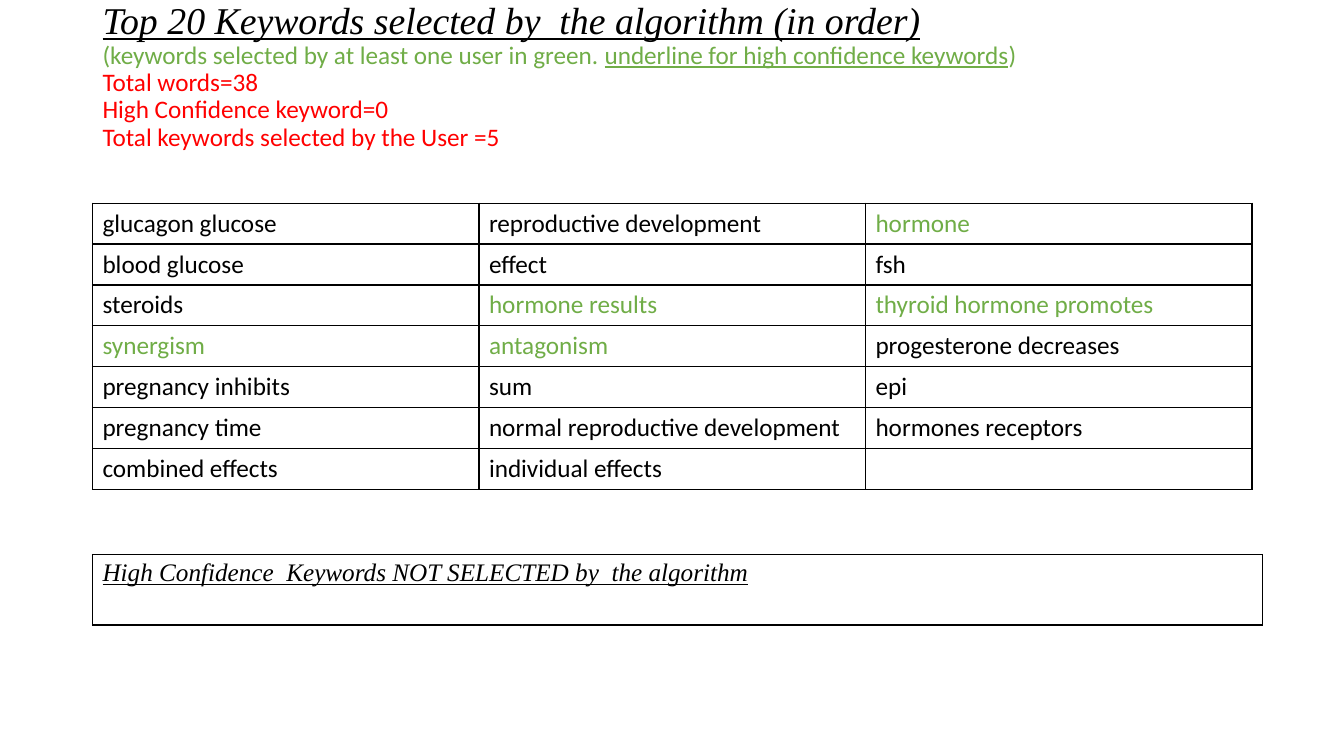
from copy import deepcopy
from dataclasses import dataclass

from lxml.etree import SubElement
from pptx import Presentation
from pptx.dml.color import RGBColor
from pptx.enum.text import MSO_ANCHOR, MSO_AUTO_SIZE, PP_ALIGN
from pptx.oxml.ns import qn
from pptx.util import Cm, Pt

BLACK = RGBColor(0x00, 0x00, 0x00)
GREEN = RGBColor(0x70, 0xAD, 0x47)
RED = RGBColor(0xFF, 0x00, 0x00)
SANS = "Calibri"
SERIF = "Times New Roman"
LEFT = Cm(2.33)


@dataclass
class Phrase:
    text: str
    color: RGBColor = BLACK
    font: str = SANS
    size: int = 18
    italic: bool = False
    underline: bool = False


@dataclass
class Grid:
    top: float
    column_width: float
    row_height: float
    rows: list[list[Phrase]]


def add_phrase(paragraph, phrase: Phrase):
    run = paragraph.add_run()
    run.text = phrase.text
    run.font.name = phrase.font
    run.font.size = Pt(phrase.size)
    run.font.bold = False
    run.font.italic = phrase.italic
    run.font.underline = phrase.underline
    run.font.color.rgb = phrase.color
    return run


def write_title(title, lines: list[list[Phrase]]) -> None:
    title.left, title.top, title.width, title.height = LEFT, Cm(1.01), Cm(29.21), Cm(3.68)
    frame = title.text_frame
    frame.word_wrap = True
    frame.auto_size = MSO_AUTO_SIZE.NONE
    frame.vertical_anchor = MSO_ANCHOR.MIDDLE
    frame.margin_bottom = Cm(1.96)
    paragraph = frame.paragraphs[0]
    paragraph.alignment = PP_ALIGN.LEFT
    paragraph.line_spacing = 0.9
    for number, line in enumerate(lines):
        if number:
            # A break takes the formatting of the line it ends
            paragraph.add_line_break()
            paragraph._p[-1].append(deepcopy(run._r.rPr))
        for phrase in line:
            run = add_phrase(paragraph, phrase)


def set_borders(cell) -> None:
    properties = cell._tc.get_or_add_tcPr()
    for side in ("a:lnL", "a:lnR", "a:lnT", "a:lnB"):
        line = SubElement(properties, qn(side), w=str(Pt(1)))
        fill = SubElement(line, qn("a:solidFill"))
        SubElement(fill, qn("a:srgbClr"), val=str(BLACK))


def add_grid(slide, grid: Grid) -> None:
    row_count, column_count = len(grid.rows), len(grid.rows[0])
    table = slide.shapes.add_table(
        row_count, column_count, LEFT, Cm(grid.top),
        Cm(grid.column_width * column_count), Cm(grid.row_height * row_count),
    ).table
    table.first_row = False
    table.horz_banding = False
    for column in table.columns:
        column.width = Cm(grid.column_width)
    for row, phrases in zip(table.rows, grid.rows):
        row.height = Cm(grid.row_height)
        for cell, phrase in zip(row.cells, phrases):
            set_borders(cell)
            cell.fill.background()
            if phrase.text:
                add_phrase(cell.text_frame.paragraphs[0], phrase)


TITLE_LINES = [
    [Phrase("Top 20 Keywords selected by  the algorithm (in order)",
            font=SERIF, size=27, italic=True, underline=True)],
    [Phrase("(keywords selected by at least one user in green. ", GREEN),
     Phrase("underline for high confidence keywords", GREEN, underline=True),
     Phrase(")", GREEN)],
    [Phrase("Total words=38", RED)],
    [Phrase("High Confidence keyword=0", RED)],
    [Phrase("Total keywords selected by the User =5", RED)],
]

KEYWORDS = [
    ["glucagon glucose", "reproductive development", "hormone"],
    ["blood glucose", "effect", "fsh"],
    ["steroids", "hormone results", "thyroid hormone promotes"],
    ["synergism", "antagonism", "progesterone decreases"],
    ["pregnancy inhibits", "sum", "epi"],
    ["pregnancy time", "normal reproductive development", "hormones receptors"],
    ["combined effects", "individual effects", ""],
]
USER_SELECTED = {
    "hormone", "hormone results", "thyroid hormone promotes", "synergism", "antagonism",
}

KEYWORD_GRID = Grid(5.12, 9.74, 1.03, [
    [Phrase(word, GREEN if word in USER_SELECTED else BLACK) for word in row]
    for row in KEYWORDS
])
MISSED_GRID = Grid(13.97, 29.49, 1.78, [
    [Phrase("High Confidence  Keywords NOT SELECTED by  the algorithm",
            font=SERIF, italic=True, underline=True)],
])


def main() -> None:
    presentation = Presentation()
    presentation.slide_width, presentation.slide_height = Cm(33.87), Cm(19.05)
    slide = presentation.slides.add_slide(presentation.slide_layouts[5])

    # Heading with totals
    write_title(slide.shapes.title, TITLE_LINES)

    # Selected keywords, then the missed ones
    for grid in (KEYWORD_GRID, MISSED_GRID):
        add_grid(slide, grid)

    presentation.save("out.pptx")


if __name__ == "__main__":
    main()
